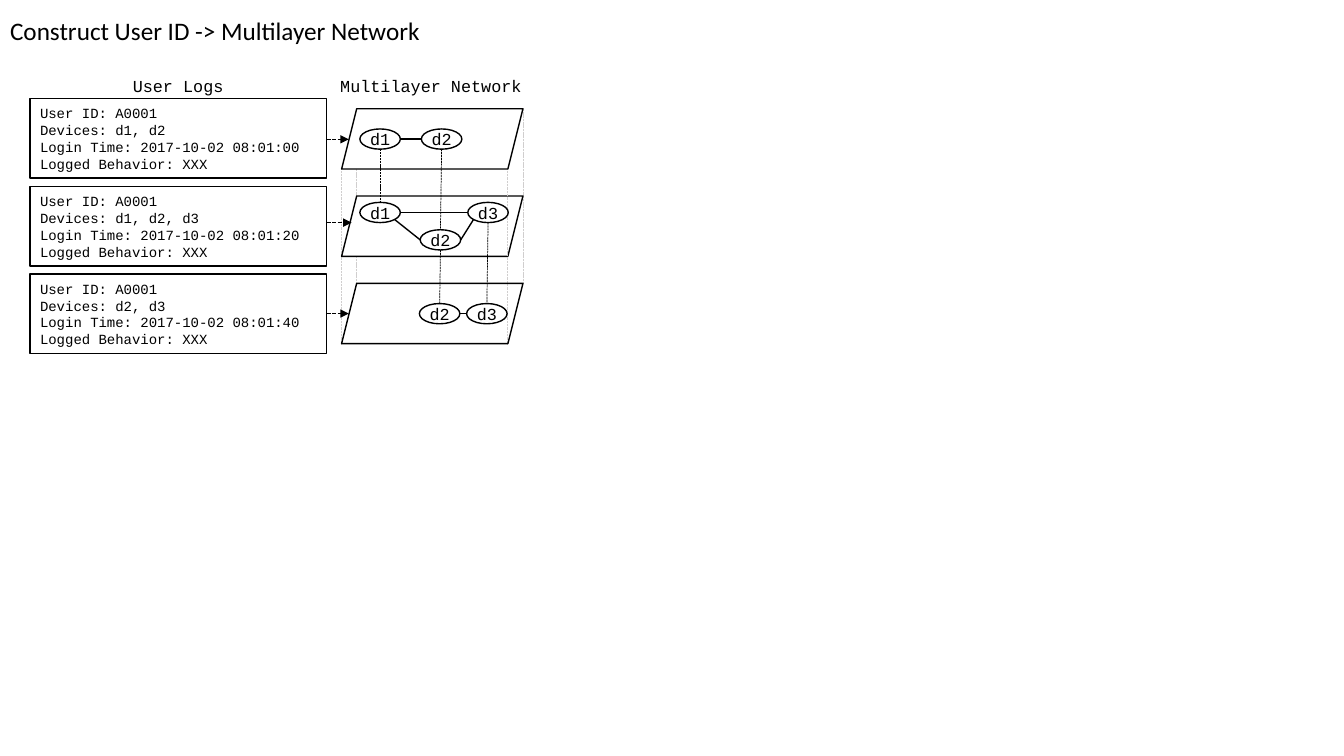
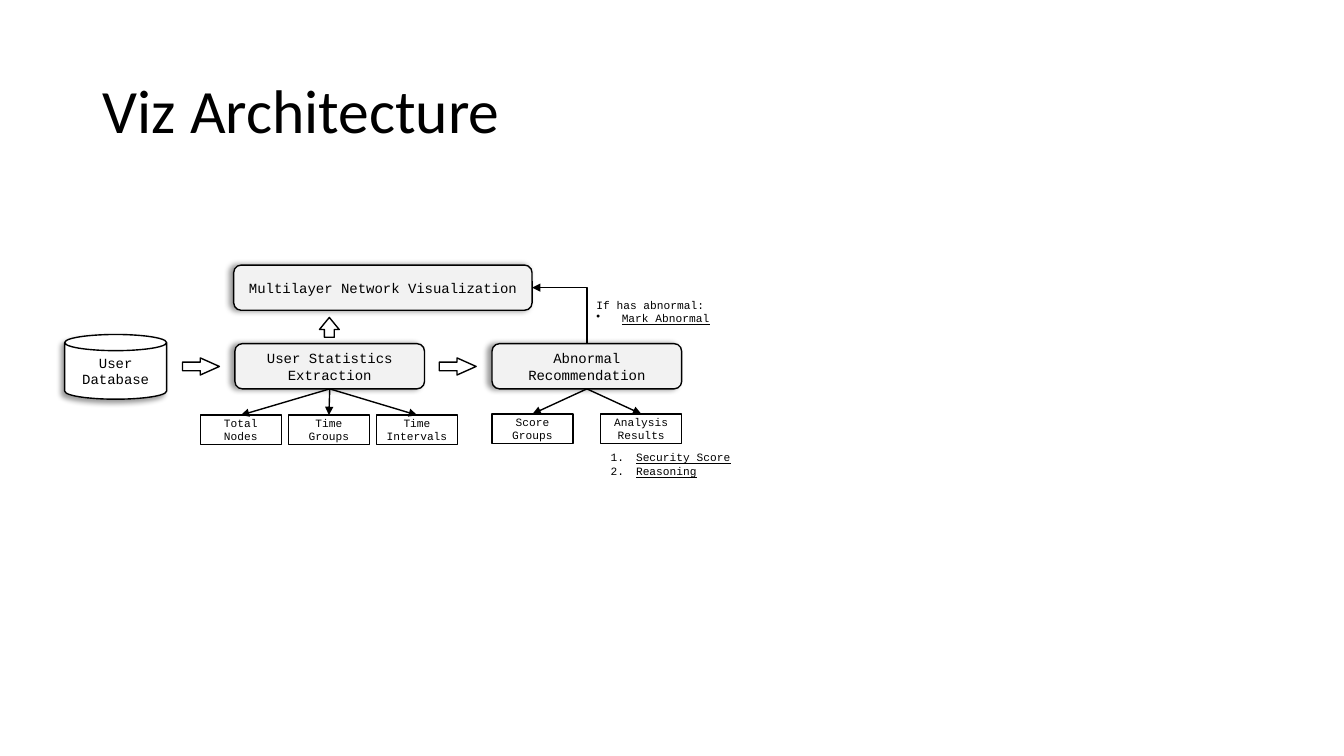
"""Build two slides on a multilayer login network and its architecture."""
from dataclasses import dataclass

from lxml.etree import SubElement
from pptx import Presentation
from pptx.dml.color import RGBColor
from pptx.enum.dml import MSO_LINE
from pptx.enum.shapes import MSO_CONNECTOR, MSO_SHAPE
from pptx.enum.text import MSO_ANCHOR, MSO_AUTO_SIZE, PP_ALIGN
from pptx.oxml.ns import qn
from pptx.util import Cm, Pt

LEFT, RIGHT, TOP, BOTTOM = (0, 0.5), (1, 0.5), (0.5, 0), (0.5, 1)
LOWER_LEFT, LOWER_RIGHT = (0.14, 0.85), (0.86, 0.85)


@dataclass(frozen=True)
class Theme:
    """Colours, fonts and type sizes of the deck."""
    ink: RGBColor = RGBColor(0, 0, 0)
    paper: RGBColor = RGBColor(255, 255, 255)
    panel: RGBColor = RGBColor(0xF2, 0xF2, 0xF2)
    guide: RGBColor = RGBColor(0xD0, 0xCE, 0xCE)
    title_font: str = "Calibri"
    font: str = "Courier New"
    heading: int = 18
    title: int = 44
    label: int = 12
    body: int = 10
    small: int = 8


class Deck:
    """Holds the style and the current slide."""

    def __init__(self, theme):
        """Start an empty widescreen presentation."""
        self.theme = theme
        self.prs = Presentation()
        self.prs.slide_width, self.prs.slide_height = Cm(33.87), Cm(19.05)
        self.s = None

    def slide(self, title, box, size):
        """Add a slide with its title in the given box."""
        self.s = self.prs.slides.add_slide(self.prs.slide_layouts[5])
        sp = self.s.shapes.title
        sp.left, sp.top, sp.width, sp.height = map(Cm, box)
        tf = sp.text_frame
        tf.auto_size = MSO_AUTO_SIZE.NONE
        tf.vertical_anchor = MSO_ANCHOR.MIDDLE
        p = tf.paragraphs[0]
        p.alignment, p.line_spacing = PP_ALIGN.LEFT, 0.9
        self.run(p, title, size, self.theme.title_font)

    def run(self, p, text, size, font=None, underline=None):
        """Add one styled run to a paragraph."""
        r = p.add_run()
        r.text = text
        r.font.size, r.font.name = Pt(size), font or self.theme.font
        r.font.color.rgb = self.theme.ink
        r.font.underline = underline

    def paragraphs(self, tf, lines, size, align=PP_ALIGN.CENTER, inset=0.25):
        """Add one paragraph per line."""
        tf.word_wrap = True
        tf.vertical_anchor = MSO_ANCHOR.MIDDLE
        tf.margin_left = tf.margin_right = Cm(inset)
        for i, line in enumerate(lines):
            p = tf.add_paragraph() if i else tf.paragraphs[0]
            p.alignment = align
            self.run(p, line, size)

    def shape(self, kind, box, lines=(), size=None, fill=None, shadow=None,
              adj=(), **text):
        """Add an outlined shape, with a shadow at the given angle if any."""
        sp = self.s.shapes.add_shape(kind, *map(Cm, box))
        sp.shadow.inherit = False
        if fill is None:
            sp.fill.background()
        else:
            sp.fill.solid()
            sp.fill.fore_color.rgb = fill
        sp.line.color.rgb, sp.line.width = self.theme.ink, Pt(1)
        for i, value in enumerate(adj):
            sp.adjustments[i] = value
        if shadow is not None:
            effects = sp._element.spPr.find(qn("a:effectLst"))
            outer = SubElement(effects, qn("a:outerShdw"), blurRad=str(Pt(4)),
                               dist=str(Pt(3)), dir=str(shadow * 60000),
                               rotWithShape="0")
            color = SubElement(outer, qn("a:srgbClr"), val=str(self.theme.ink))
            SubElement(color, qn("a:alpha"), val="40000")
        if lines:
            self.paragraphs(sp.text_frame, lines, size, **text)
        return sp

    def label(self, box, text):
        """Add a centred caption."""
        sp = self.s.shapes.add_textbox(*map(Cm, box))
        self.paragraphs(sp.text_frame, [text], self.theme.label, inset=0)

    def notes(self, box, items, bullet, value, lead=None):
        """Add a small underlined list, with a plain lead line if any."""
        tf = self.s.shapes.add_textbox(*map(Cm, box)).text_frame
        tf.word_wrap = True
        p = tf.paragraphs[0]
        if lead:
            self.run(p, lead, self.theme.small)
            p = tf.add_paragraph()
        for i, item in enumerate(items):
            p = tf.add_paragraph() if i else p
            pPr = p._p.get_or_add_pPr()
            pPr.set("marL", str(Cm(0.64)))
            pPr.set("indent", str(-Cm(0.64)))
            SubElement(pPr, qn("a:" + bullet), **value)
            self.run(p, item, self.theme.small, underline=True)

    def stroke(self, c, color=None, width=1, dashed=False, arrow=False):
        """Style a connector."""
        c.line.color.rgb, c.line.width = color or self.theme.ink, Pt(width)
        if dashed:
            c.line.dash_style = MSO_LINE.SQUARE_DOT
        if arrow:
            SubElement(c.line._get_or_add_ln(), qn("a:tailEnd"), type="triangle")
        SubElement(c._element.spPr, qn("a:effectLst"))

    def line(self, x1, y1, x2, y2, **style):
        """Draw a straight line between two points."""
        c = self.s.shapes.add_connector(MSO_CONNECTOR.STRAIGHT,
                                        *map(Cm, (x1, y1, x2, y2)))
        self.stroke(c, **style)

    def link(self, a, start, b, end, **style):
        """Draw a line between points given as fractions of two shapes."""
        ends = [(sp.left + fx * sp.width, sp.top + fy * sp.height)
                for sp, (fx, fy) in ((a, start), (b, end))]
        self.line(*(v / Cm(1) for point in ends for v in point), **style)

    def elbow(self, a, b):
        """Draw an arrow up from the top of a, then left to the side of b."""
        c = self.s.shapes.add_connector(MSO_CONNECTOR.ELBOW, 0, 0, 0, 0)
        c.begin_connect(a, 0)
        c.end_connect(b, 3)
        x, y, w, h = c.left, c.top, c.width, c.height
        c.left, c.top = x + (w - h) // 2, y + (h - w) // 2
        c.width, c.height = h, w
        spPr = c._element.spPr
        xfrm = spPr.find(qn("a:xfrm"))
        xfrm.set("rot", "16200000")
        xfrm.set("flipH", "0")
        xfrm.set("flipV", "1")
        spPr.find(qn("a:prstGeom")).set("prst", "bentConnector2")
        self.stroke(c, arrow=True)


def network_slide(d):
    """Draw the user logs beside the network layers they form."""
    t = d.theme
    d.slide("Construct User ID -> Multilayer Network", (0, 0.3, 11.5, 1.02), t.heading)
    d.label((3.07, 1.78, 2.84, 0.76), "User Logs")
    d.label((8.28, 1.78, 5.16, 0.76), "Multilayer Network")

    logs = [("d1, d2", "00"), ("d1, d2, d3", "20"), ("d2, d3", "40")]
    for i, (devices, second) in enumerate(logs):
        d.shape(MSO_SHAPE.RECTANGLE, (0.76, 2.49 + 2.21 * i, 7.47, 2),
                ["User ID: A0001", f"Devices: {devices}",
                 f"Login Time: 2017-10-02 08:01:{second}", "Logged Behavior: XXX"],
                t.body, t.paper, align=PP_ALIGN.LEFT)

    def guide(x, top):
        """Draw one pale upright between layers."""
        d.line(x, top, x, top + 4.4, color=t.guide, width=0.25, dashed=True)

    def plane(layer, fill=None):
        """Draw the sheet of one layer."""
        d.shape(MSO_SHAPE.PARALLELOGRAM, (8.61, 2.74 + 2.2 * layer, 4.57, 1.52), fill=fill)

    for x, top in ((8.97, 2.74), (13.18, 2.74), (8.61, 4.27)):
        guide(x, top)
    plane(1, t.paper)
    guide(12.78, 4.27)
    plane(0, t.paper)
    plane(2)

    spots = [("d1", 0, 9.07, 3.25), ("d2", 0, 10.62, 3.25),
             ("d1", 1, 9.07, 5.1), ("d2", 1, 10.59, 5.79), ("d3", 1, 11.79, 5.1),
             ("d2", 2, 10.57, 7.65), ("d3", 2, 11.76, 7.65)]
    nodes = {}
    for name, layer, x, y in spots:
        sp = d.shape(MSO_SHAPE.OVAL, (x, y, 1.02, 0.51), [name], t.label, t.paper, inset=0)
        sp.text_frame.margin_top = sp.text_frame.margin_bottom = 0
        sp.text_frame.word_wrap = False
        nodes[name, layer] = sp

    for layer, a, start, b, end in ((0, "d1", RIGHT, "d2", LEFT),
                                    (1, "d1", RIGHT, "d3", LEFT),
                                    (1, "d1", LOWER_RIGHT, "d2", LEFT),
                                    (1, "d2", RIGHT, "d3", LOWER_LEFT),
                                    (2, "d2", RIGHT, "d3", LEFT)):
        d.link(nodes[a, layer], start, nodes[b, layer], end)
    for (name, layer), sp in nodes.items():
        if (name, layer + 1) in nodes:
            d.link(sp, BOTTOM, nodes[name, layer + 1], TOP, width=0.5, dashed=True)
    for x, y in ((8.79, 3.51), (8.86, 5.61), (8.79, 7.9)):
        d.line(8.23, y, x, y, dashed=True, arrow=True)


def architecture_slide(d):
    """Draw the steps from user database to visualization."""
    t = d.theme
    d.slide("Viz Architecture", (2.34, 1.02, 29.21, 3.68), t.title)
    d.shape(MSO_SHAPE.CAN, (1.63, 8.43, 2.57, 1.63), ["User", "Database"], t.body,
            t.paper, shadow=135)
    stats, abnormal, viz = (
        d.shape(MSO_SHAPE.ROUNDED_RECTANGLE, (x, y, w, 1.14), [text], t.body, t.panel,
                shadow=180)
        for text, x, y, w in (("User Statistics Extraction", 5.92, 8.66, 4.78),
                              ("Abnormal Recommendation", 12.4, 8.66, 4.78),
                              ("Multilayer Network Visualization", 5.89, 6.68, 7.52)))
    parts = [(stats, 5.05, 2.22, 10.46, ["Total Nodes", "Time Groups", "Time Intervals"]),
             (abnormal, 12.4, 2.74, 10.43, ["Score Groups", "Analysis Results"])]
    for parent, x, step, y, names in parts:
        for i, name in enumerate(names):
            part = d.shape(MSO_SHAPE.RECTANGLE, (x + step * i, y, 2.04, 0.74), [name],
                           t.small, inset=0.2)
            d.link(parent, BOTTOM, part, TOP, arrow=True)
    for x in (4.6, 11.07):
        d.shape(MSO_SHAPE.RIGHT_ARROW, (x, 9.02, 0.93, 0.43), fill=t.paper, adj=(0.5, 1.12))
    d.shape(MSO_SHAPE.UP_ARROW, (8.05, 8, 0.5, 0.5), fill=t.paper, adj=(0.5, 0.61))
    d.elbow(abnormal, viz)
    d.notes((15.14, 11.23, 3.58, 0.94), ["Security Score", "Reasoning"],
            "buAutoNum", {"type": "arabicPeriod"})
    d.notes((14.78, 7.39, 3.94, 0.94), ["Mark Abnormal"], "buChar", {"char": "•"},
            lead="If has abnormal:")


def main():
    """Build and save the deck."""
    d = Deck(Theme())
    network_slide(d)
    architecture_slide(d)
    d.prs.save("out.pptx")


if __name__ == "__main__":
    main()
